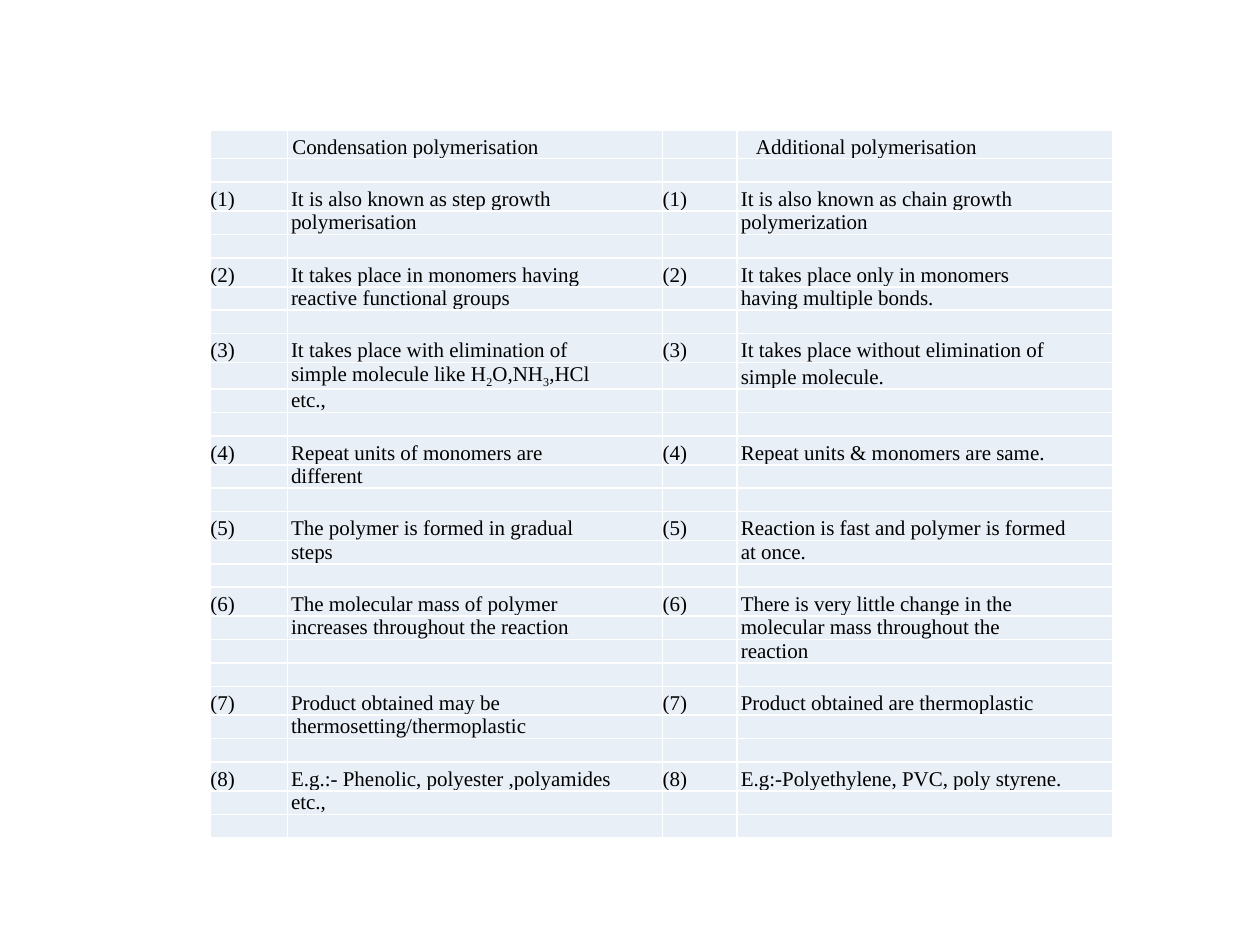
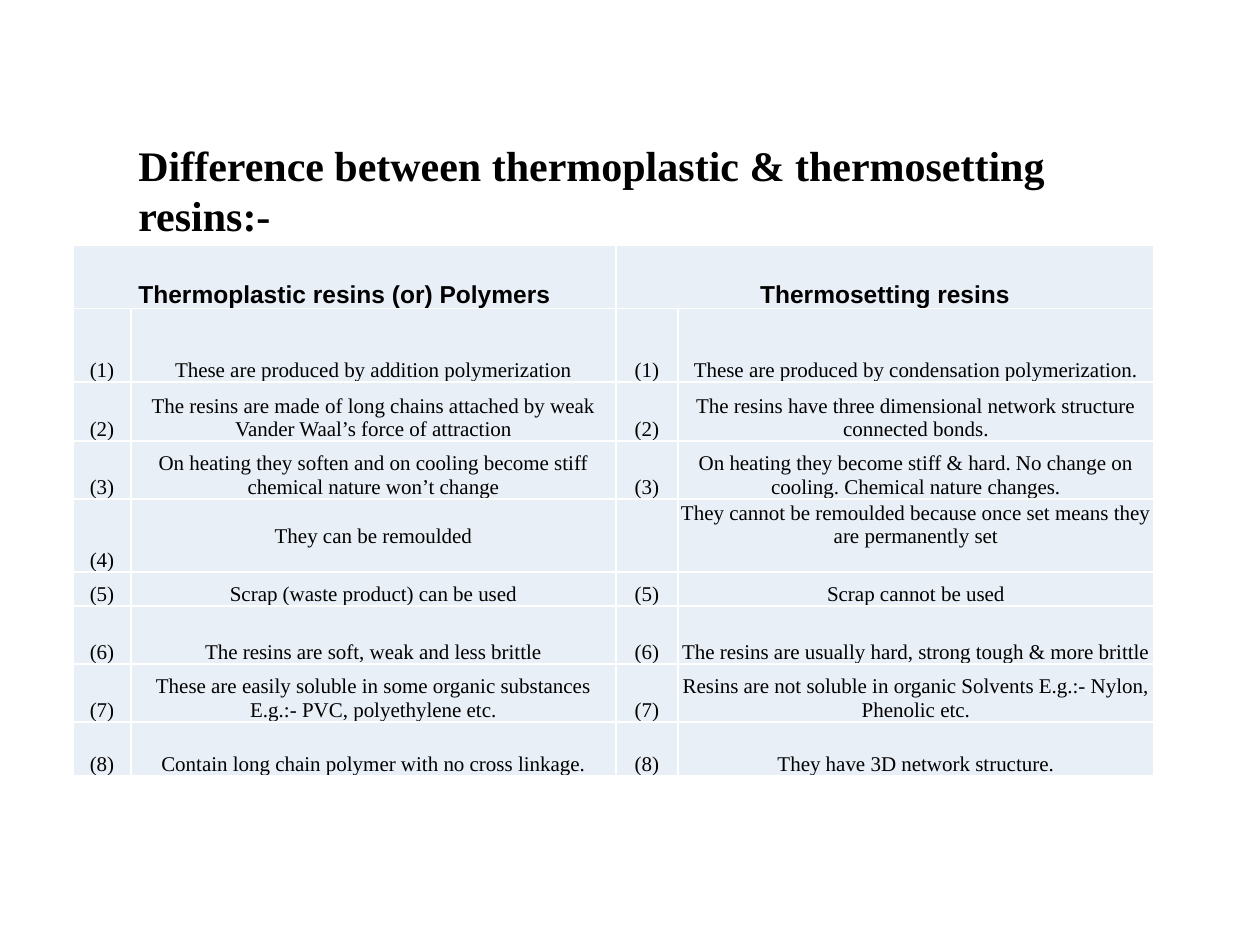
from dataclasses import dataclass

from lxml.etree import SubElement
from pptx import Presentation
from pptx.dml.color import RGBColor as Rgb
from pptx.enum.text import MSO_ANCHOR as Anchor, MSO_AUTO_SIZE as Fit, PP_ALIGN as Align
from pptx.oxml.ns import qn
from pptx.util import Inches, Pt

HUES = {"cell": "E9EFF7", "rule": "FFFFFF", "text": "000000"}
SERIF, SANS = "Times New Roman", "Arial"


@dataclass
class Pair:
    """One compared point: the wording on the left and on the right."""
    left: str
    right: str


@dataclass
class Style:
    font: str = SERIF
    size: int = 12
    bold: bool = False
    align: Align = Align.CENTER
    indent: float = 0
    lift: float = 0


# Line breaks divide a point over table rows; underscores enclose subscripts
GROWTH = [
    Pair("It is also known as step growth\npolymerisation",
         "It is also known as chain growth\npolymerization"),
    Pair("It takes place in monomers having\nreactive functional groups",
         "It takes place only in monomers\nhaving multiple bonds."),
    Pair("It takes place with elimination of\nsimple molecule like H_2_O,NH_3_,HCl\netc.,",
         "It takes place without elimination of\nsimple molecule."),
    Pair("Repeat units of monomers are\ndifferent", "Repeat units & monomers are same."),
    Pair("The polymer is formed in gradual\nsteps",
         "Reaction is fast and polymer is formed\nat once."),
    Pair("The molecular mass of polymer\nincreases throughout the reaction",
         "There is very little change in the\nmolecular mass throughout the\nreaction"),
    Pair("Product obtained may be\nthermosetting/thermoplastic",
         "Product obtained are thermoplastic"),
    Pair("E.g.:- Phenolic, polyester ,polyamides\netc.,",
         "E.g:-Polyethylene, PVC, poly styrene."),
]

RESINS = [
    Pair("These are produced by addition polymerization",
         "These are produced by condensation polymerization."),
    Pair("The resins are made of long chains attached by weak Vander Waal’s force of attraction",
         "The resins have three dimensional network structure connected bonds."),
    Pair("On heating they soften and on cooling become stiff chemical nature won’t change",
         "On heating they become stiff & hard. No change on cooling. Chemical nature changes."),
    Pair("They can be remoulded",
         "They cannot be remoulded because once set means they are permanently set"),
    Pair("Scrap (waste product) can be used", "Scrap cannot be used"),
    Pair("The resins are soft, weak and less brittle",
         "The resins are usually hard, strong tough & more brittle"),
    Pair("These are easily soluble in some organic substances E.g.:- PVC, polyethylene etc.",
         "Resins are not soluble in organic Solvents E.g.:- Nylon, Phenolic etc."),
    Pair("Contain long chain polymer with no cross linkage.",
         "They have 3D network structure."),
]


# Shared drawing
def set_font(para, style: Style) -> None:
    para.alignment = style.align
    font = para.font
    font.name, font.size, font.bold = style.font, Pt(style.size), style.bold
    font.color.rgb = Rgb.from_string(HUES["text"])


def add_rules(cell) -> None:
    props = cell._tc.get_or_add_tcPr()
    for side in "LRTB":
        line = SubElement(props, qn(f"a:ln{side}"), w=str(Pt(1)))
        fill = SubElement(line, qn("a:solidFill"))
        SubElement(fill, qn("a:srgbClr"), val=HUES["rule"])


def fill_cell(cell, text: str, style: Style) -> None:
    add_rules(cell)
    cell.fill.solid()
    cell.fill.fore_color.rgb = Rgb.from_string(HUES["cell"])
    cell.vertical_anchor = Anchor.BOTTOM
    cell.margin_top = cell.margin_right = 0
    cell.margin_left, cell.margin_bottom = Inches(style.indent), Inches(style.lift)
    para = cell.text_frame.paragraphs[0]
    set_font(para, style)
    if not text:
        SubElement(para._p, qn("a:endParaRPr"), sz=str(style.size * 100))
        return
    for i, part in enumerate(text.split("_")):
        run = para.add_run()
        run.text = part
        if i % 2:
            run._r.get_or_add_rPr().set("baseline", "-25000")


def add_grid(slide, left: float, top: float, cols: list[float], rows: list[float]):
    frame = slide.shapes.add_table(len(rows), len(cols), Inches(left), Inches(top),
                                   Inches(sum(cols)), Inches(sum(rows)))
    grid = frame.table
    grid.first_row = grid.horz_banding = False
    for col, width in zip(grid.columns, cols):
        col.width = Inches(width)
    for row, height in zip(grid.rows, rows):
        row.height = Inches(height)
    return grid


# Slide 1: each point takes one row a line, then an empty row
def draw_growth(slide) -> None:
    body = Style(align=Align.JUSTIFY, indent=0.03)
    mark = Style(align=Align.JUSTIFY)
    heads = [mark, Style(align=Align.JUSTIFY, indent=0.04),
             mark, Style(align=Align.JUSTIFY, indent=0.15)]
    lines = [(["", "Condensation polymerisation", "", "Additional polymerisation"], heads, 0.23)]
    blank = ([""] * 4, [mark] * 4, 0.18)
    lines.append(blank)
    for num, pair in enumerate(GROWTH, 1):
        left, right = pair.left.split("\n"), pair.right.split("\n")
        for i in range(max(len(left), len(right))):
            tag = "" if i else f"({num})"
            texts = [tag, "".join(left[i:i + 1]), tag, "".join(right[i:i + 1])]
            lines.append((texts, [mark, body] * 2, 0.18 if i else 0.23))
        lines.append(blank)

    grid = add_grid(slide, 1.67, 1.03, [0.61, 2.98, 0.59, 2.98], [line[2] for line in lines])
    for r, (texts, styles, _) in enumerate(lines):
        for c, (text, style) in enumerate(zip(texts, styles)):
            fill_cell(grid.cell(r, c), text, style)


# Slide 2: one row a point, under two merged heads
def draw_resins(slide) -> None:
    grid = add_grid(slide, 0.58, 1.95, [0.46, 3.85, 0.49, 3.78],
                    [0.5, 0.58, 0.47, 0.46, 0.58, 0.27, 0.46, 0.46, 0.43])
    head = Style(SANS, 14, True)
    for c, text in ((0, "Thermoplastic resins (or) Polymers"), (2, "Thermosetting resins")):
        grid.cell(0, c).merge(grid.cell(0, c + 1))
        fill_cell(grid.cell(0, c), text, head)
        fill_cell(grid.cell(0, c + 1), "", head)
    mark = Style()
    for num, pair in enumerate(RESINS, 1):
        tag = f"({num})"
        body = Style(lift=0.19) if num == 4 else mark
        texts = [tag, pair.left, "" if num == 4 else tag, pair.right]
        for c, text in enumerate(texts):
            fill_cell(grid.cell(num, c), text, body if c % 2 else mark)


def add_title(slide, text: str) -> None:
    box = slide.shapes.add_textbox(Inches(1), Inches(1.05), Inches(8), Inches(0.91))
    frame = box.text_frame
    frame.word_wrap, frame.auto_size = True, Fit.SHAPE_TO_FIT_TEXT
    frame.vertical_anchor = Anchor.MIDDLE
    frame.text = text
    set_font(frame.paragraphs[0], Style(size=24, bold=True, align=Align.LEFT))


def main() -> None:
    deck = Presentation()
    deck.slide_width, deck.slide_height = Inches(10), Inches(7.5)
    blank = deck.slide_layouts[6]
    draw_growth(deck.slides.add_slide(blank))
    slide = deck.slides.add_slide(blank)
    draw_resins(slide)
    add_title(slide, "Difference between thermoplastic & thermosetting resins:-")
    deck.save("out.pptx")


if __name__ == "__main__":
    main()
